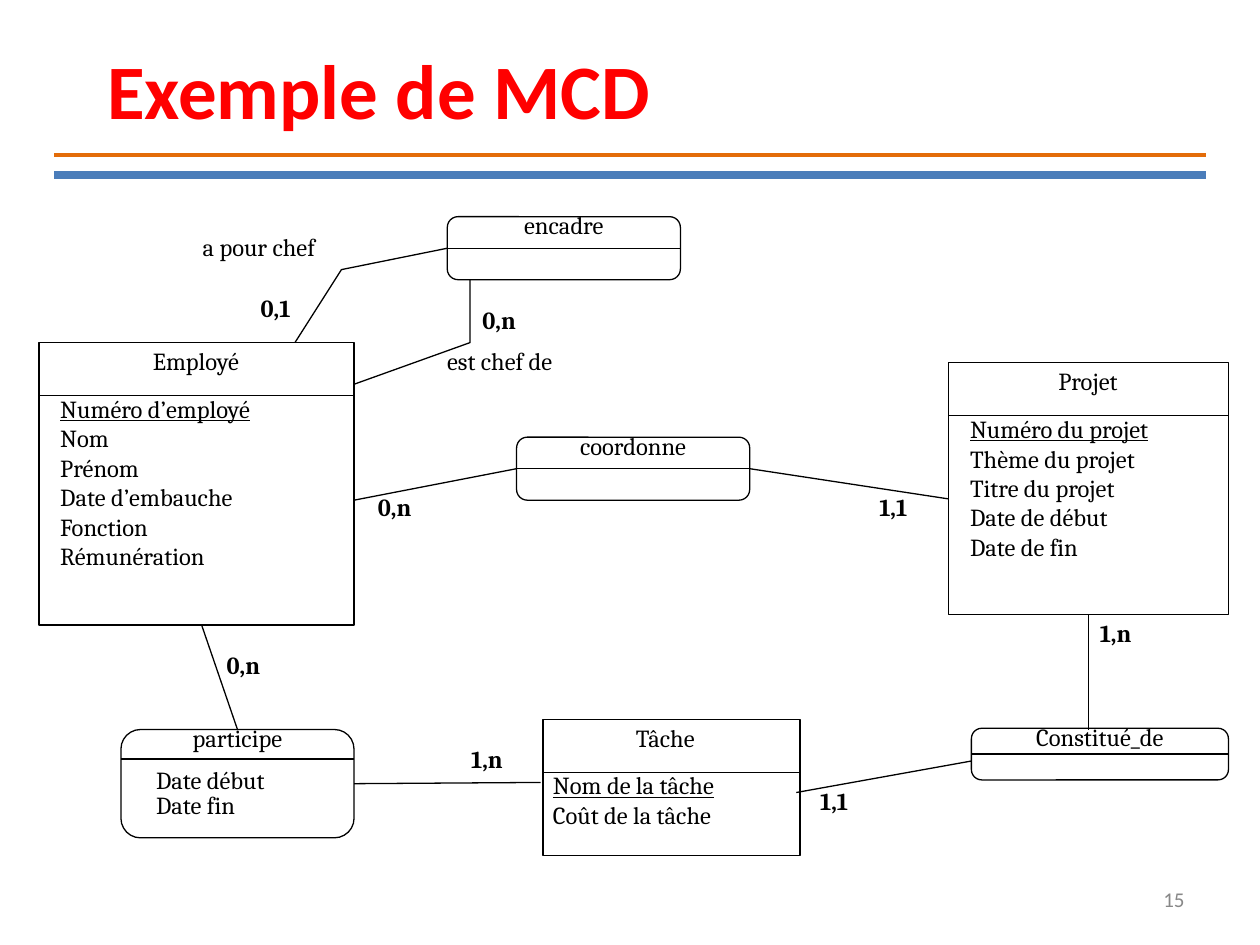
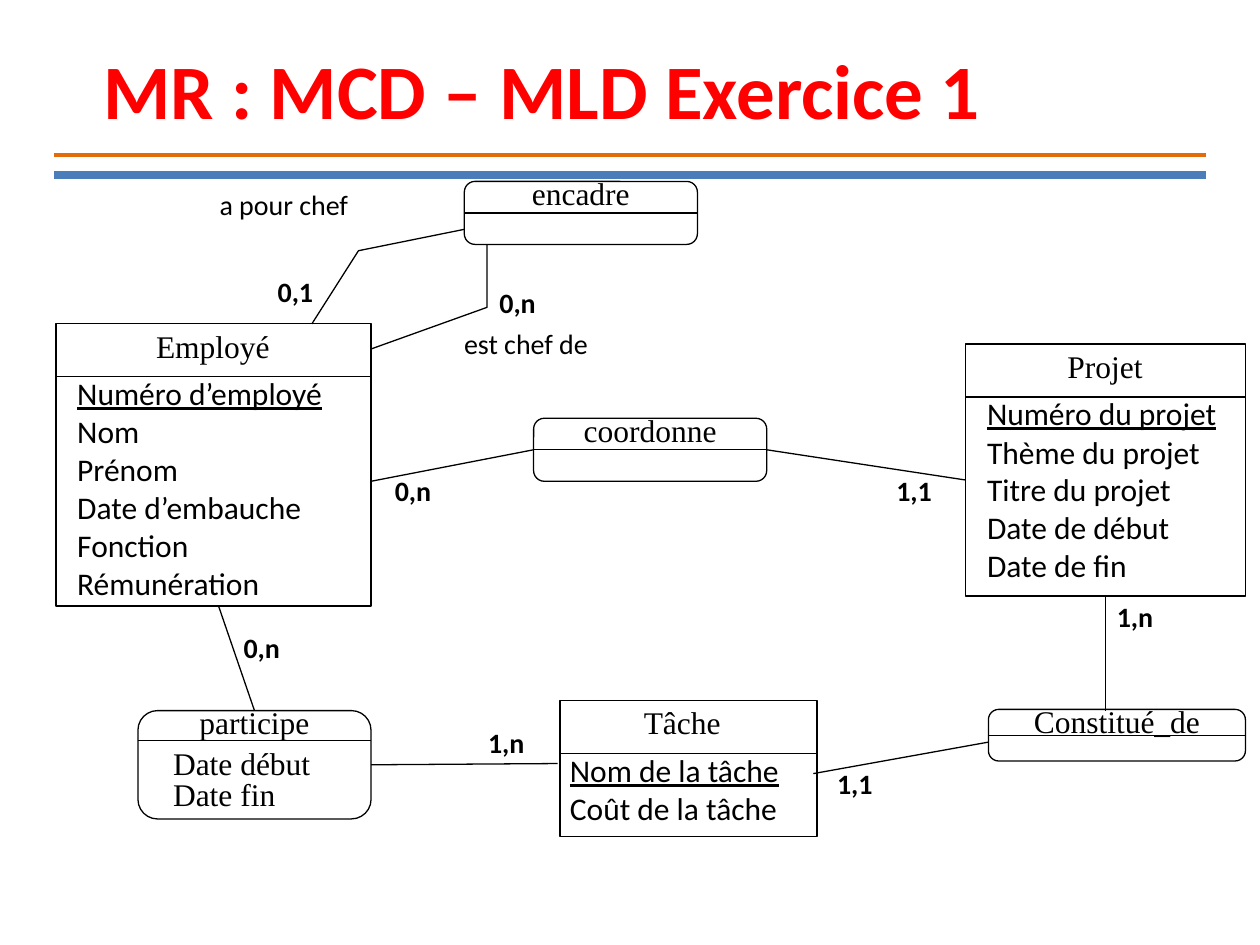
"""Builds two slides showing an entity-association model of employees, projects and tasks."""
from dataclasses import dataclass

from lxml.etree import SubElement
from pptx import Presentation
from pptx.dml.color import RGBColor
from pptx.enum.shapes import MSO_CONNECTOR as Connector, MSO_SHAPE as Shape
from pptx.enum.text import MSO_ANCHOR as Anchor, MSO_AUTO_SIZE as AutoSize, PP_ALIGN as Align
from pptx.oxml.ns import qn
from pptx.util import Inches, Pt

COLUMNS, ROWS = 100, 75
TOP, LEFT, BOTTOM, RIGHT = range(4)


@dataclass(frozen=True)
class Theme:
    """Colours, fonts and type sizes shared by the slides."""
    ink: str = "000000"
    title: str = "FF0000"
    thin_band: str = "E36C09"
    thick_band: str = "4A7DBA"
    page_number: str = "888888"
    sans: str = "Calibri"
    title_size: int = 44
    page_number_size: int = 12
    outline: float = 0.75
    spacing: float = 0.93
    tight_spacing: float = 0.73


@dataclass(frozen=True)
class Variant:
    """Fonts, sizes and offsets of the diagram on one slide."""
    heading_font: str
    body_font: str
    size: int
    label_size: int
    shift: tuple = (0, 0)
    association_rise: float = 0
    caption_rise: float = 0


ENTITIES = {
    "Employé": ((3.1, 27.2, 25, 22.4), 0.9, (
        "Numéro d’employé", "Nom", "Prénom", "Date d’embauche", "Fonction", "Rémunération")),
    "Projet": ((75.3, 28.8, 22.2, 20), 0.9, (
        "Numéro du projet", "Thème du projet", "Titre du projet", "Date de début", "Date de fin")),
    "Tâche": ((43.1, 57.1, 20.4, 10.8), 0, ("Nom de la tâche", "Coût de la tâche")),
}
ASSOCIATIONS = {
    "encadre": ((35.5, 17.2, 18.5, 5), 0.17, ()),
    "coordonne": ((41, 34.7, 18.5, 5), 0.17, ()),
    "Constitué_de": ((77.1, 57.8, 20.4, 4.1), 0.2, ()),
    "participe": ((9.6, 57.9, 18.5, 8.6), 0.18, ("Date début", "Date fin")),
}
LINKS = (
    ((63.2, 62.9), (77.1, 60.4), None, None),
    ((86.4, 48.8), (86.4, 57.9), ("Projet", BOTTOM), None),
    ((28.1, 62.1), (42.9, 62.1), ("participe", RIGHT), None),
    ((16, 49.6), (18.8, 57.9), None, ("participe", TOP)),
    ((28.1, 39.7), (41, 37.2), None, ("coordonne", LEFT)),
    ((59.5, 37.2), (75.3, 39.6), ("coordonne", RIGHT), None),
)
CHIEF_PATH = (23.4, 27.2), (27.1, 21.4), (35.5, 19.7)
SUPERVISOR_PATH = (37.3, 22.2), (37.3, 27.2), (28.1, 30.5)
CARDINALITIES = (
    ("0,1", 19.7, 23), ("0,n", 37.3, 23.9), ("0,n", 29, 38.8), ("0,n", 17, 51.3),
    ("1,n", 36.4, 58.8), ("1,1", 64.1, 62.1), ("1,1", 68.8, 38.8), ("1,n", 86.3, 48.8),
)


class Deck:
    """Holds the theme, the diagram variant and the current slide."""

    def __init__(self, theme):
        """Start an empty presentation."""
        self.theme = theme
        self.presentation = Presentation()
        self.presentation.slide_width = Inches(10)
        self.presentation.slide_height = Inches(7.5)
        self.slide = self.variant = None
        self.shift = (0, 0)

    def across(self, columns):
        """Turn grid columns into a length."""
        return round(self.presentation.slide_width * columns / COLUMNS)

    def down(self, rows):
        """Turn grid rows into a length."""
        return round(self.presentation.slide_height * rows / ROWS)

    def point(self, column, row):
        """Turn a grid point into a shifted position on the slide."""
        return self.across(column + self.shift[0]), self.down(row + self.shift[1])

    def box(self, left, top, width, height):
        """Turn a grid box into a position and a size."""
        return *self.point(left, top), self.across(width), self.down(height)

    def format(self, paragraph, font_name, size, color, bold=False, underline=False):
        """Give every run of a paragraph the same look."""
        for run in paragraph.runs:
            font = run.font
            font.name, font.size, font.bold = font_name, Pt(size), bold
            font.underline = underline
            font.color.rgb = RGBColor.from_string(color)

    def outline(self, shape):
        """Leave a shape unfilled with a thin dark outline."""
        shape.shadow.inherit = False
        shape.fill.background()
        shape.line.color.rgb = RGBColor.from_string(self.theme.ink)
        shape.line.width = Pt(self.theme.outline)
        return shape

    def text(self, box, lines, font_name, size, bold=False, align=Align.LEFT):
        """Add a wrapping text box with one paragraph per line."""
        frame = self.slide.shapes.add_textbox(*self.box(*box)).text_frame
        frame.word_wrap = True
        frame.text = "\n".join(lines)
        for paragraph in frame.paragraphs:
            paragraph.alignment = align
            self.format(paragraph, font_name, size, self.theme.ink, bold)
        frame.paragraphs[0].line_spacing = self.theme.spacing
        return frame

    def line(self, start, end, color=None, width=None):
        """Add a straight connector between two grid points."""
        connector = self.slide.shapes.add_connector(
            Connector.STRAIGHT, *self.point(*start), *self.point(*end))
        connector.line.color.rgb = RGBColor.from_string(color or self.theme.ink)
        connector.line.width = Pt(width or self.theme.outline)
        SubElement(connector._element.spPr, qn("a:effectLst"))
        return connector

    def bent_line(self, start, *corners):
        """Add an open outline through grid points."""
        builder = self.slide.shapes.build_freeform(*self.point(*start), scale=1)
        builder.add_line_segments([self.point(*corner) for corner in corners], close=False)
        self.outline(builder.convert_to_shape())

    def start_slide(self, title, left):
        """Add a slide with its title and the two bands."""
        self.shift = (0, 0)
        self.slide = self.presentation.slides.add_slide(self.presentation.slide_layouts[5])
        for row, color, width in ((12.3, self.theme.thin_band, 2.25),
                                  (13.9, self.theme.thick_band, 4.5)):
            self.line((4.3, row), (95.7, row), color, width)
        heading = self.slide.shapes.title
        heading.left, heading.top, heading.width, heading.height = self.box(left, 2.9, 77.2, 8.4)
        frame = heading.text_frame
        frame.text = title
        frame.auto_size = AutoSize.SHAPE_TO_FIT_TEXT
        frame.vertical_anchor = Anchor.TOP
        paragraph = frame.paragraphs[0]
        paragraph.alignment = Align.LEFT
        self.format(paragraph, self.theme.sans, self.theme.title_size, self.theme.title, True)

    def page_number(self, number):
        """Add the page number at the bottom right."""
        frame = self.text((71.7, 69.5, 23.3, 4), [number], self.theme.sans,
                          self.theme.page_number_size, align=Align.RIGHT)
        frame.vertical_anchor = Anchor.MIDDLE
        self.format(frame.paragraphs[0], self.theme.sans, self.theme.page_number_size,
                    self.theme.page_number)

    def entity(self, name, box, indent, attributes):
        """Add an entity with its key underlined."""
        left, top, width, height = box
        variant = self.variant
        shape = self.outline(self.slide.shapes.add_shape(Shape.RECTANGLE, *self.box(*box)))
        self.line((left, top + 4.2), (left + width, top + 4.2))
        self.text((left + indent, top, width - 1 - indent, 4.5), [name],
                  variant.heading_font, variant.size, align=Align.CENTER)
        frame = self.text((left + indent - 0.2, top + 3.75, width, height - 3.75), attributes,
                          variant.body_font, variant.size)
        self.format(frame.paragraphs[0], variant.body_font, variant.size, self.theme.ink,
                    underline=True)
        return shape

    def association(self, name, box, rounding, attributes):
        """Add a rounded association with optional attributes."""
        left, top, width, height = box
        variant = self.variant
        shape = self.outline(
            self.slide.shapes.add_shape(Shape.ROUNDED_RECTANGLE, *self.box(*box)))
        shape.adjustments[0] = rounding
        divider = top + (2.35 if attributes else height / 2)
        self.line((left, divider), (left + width, divider))
        self.text((left + 0.9, top - 0.8, width - 1.8, 4.5), [name],
                  variant.heading_font, variant.size, align=Align.CENTER)
        if attributes:
            frame = self.text((left + 1.8, top + 2.9, 14.8, 10.2), attributes,
                              variant.heading_font, variant.size)
            for paragraph in frame.paragraphs:
                paragraph.line_spacing = self.theme.tight_spacing
            for paragraph in frame.paragraphs[1:]:
                paragraph.space_before = Pt(2.2)
        return shape

    def link(self, shapes, start, end, begin_joint, end_joint):
        """Add a link, joined to shapes where it meets the middle of a side."""
        connector = self.line(start, end)
        if begin_joint:
            connector.begin_connect(shapes[begin_joint[0]], begin_joint[1])
        if end_joint:
            connector.end_connect(shapes[end_joint[0]], end_joint[1])

    def label(self, text, left, top, width=5.5, bold=False):
        """Add a cardinality or a role beside a link."""
        self.text((left, top, width, 3.7), [text], self.variant.body_font,
                  self.variant.label_size, bold)

    def diagram(self, variant):
        """Draw the whole model in the given variant."""
        self.variant, self.shift = variant, variant.shift
        rise = variant.association_rise
        shapes = {name: self.entity(name, *parts) for name, parts in ENTITIES.items()}
        for name, ((left, top, width, height), *parts) in ASSOCIATIONS.items():
            lifted = top - rise if name == "encadre" else top
            shapes[name] = self.association(name, (left, lifted, width, height), *parts)
        for link in LINKS:
            self.link(shapes, *link)
        self.bent_line(*CHIEF_PATH)
        self.bent_line(*((column, row - rise) for column, row in SUPERVISOR_PATH))
        for text, left, top in CARDINALITIES:
            self.label(text, left, top, bold=True)
        self.label("a pour chef", 15.1, 18.1 - variant.caption_rise, 13.4)
        self.label("est chef de", 34.5, 27.2, 12.8)


def main():
    """Build and save both slides."""
    deck = Deck(Theme())
    deck.start_slide("Exemple de MCD", 7.5)
    deck.page_number("15")
    deck.diagram(Variant("Cambria", "Cambria", 14, 14))
    deck.start_slide("MR : MCD – MLD Exercice 1", 7.2)
    deck.diagram(Variant("Times New Roman", "Calibri", 18, 16, (1.35, -1.5), 1.3, 2))
    deck.presentation.save("out.pptx")


if __name__ == "__main__":
    main()
